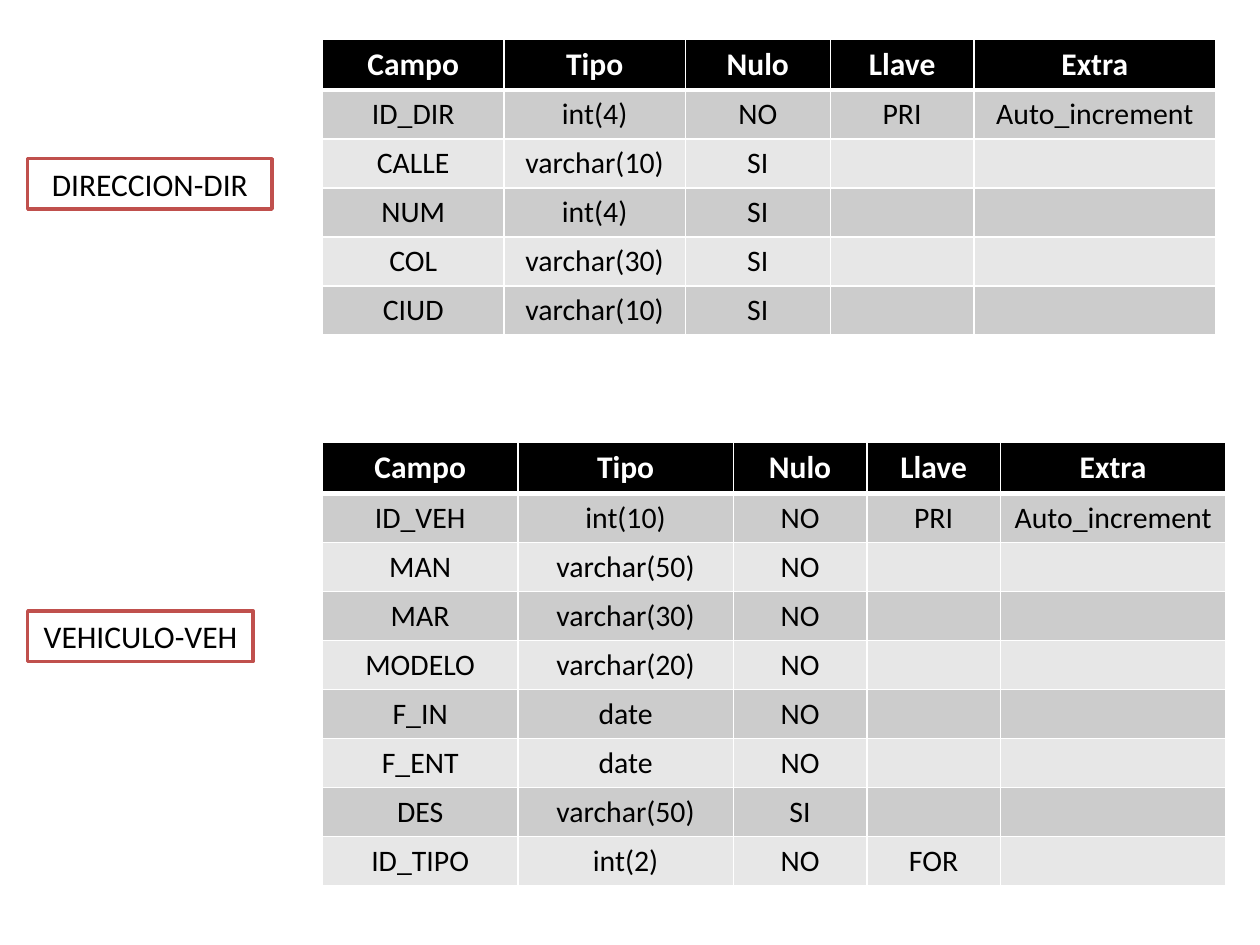
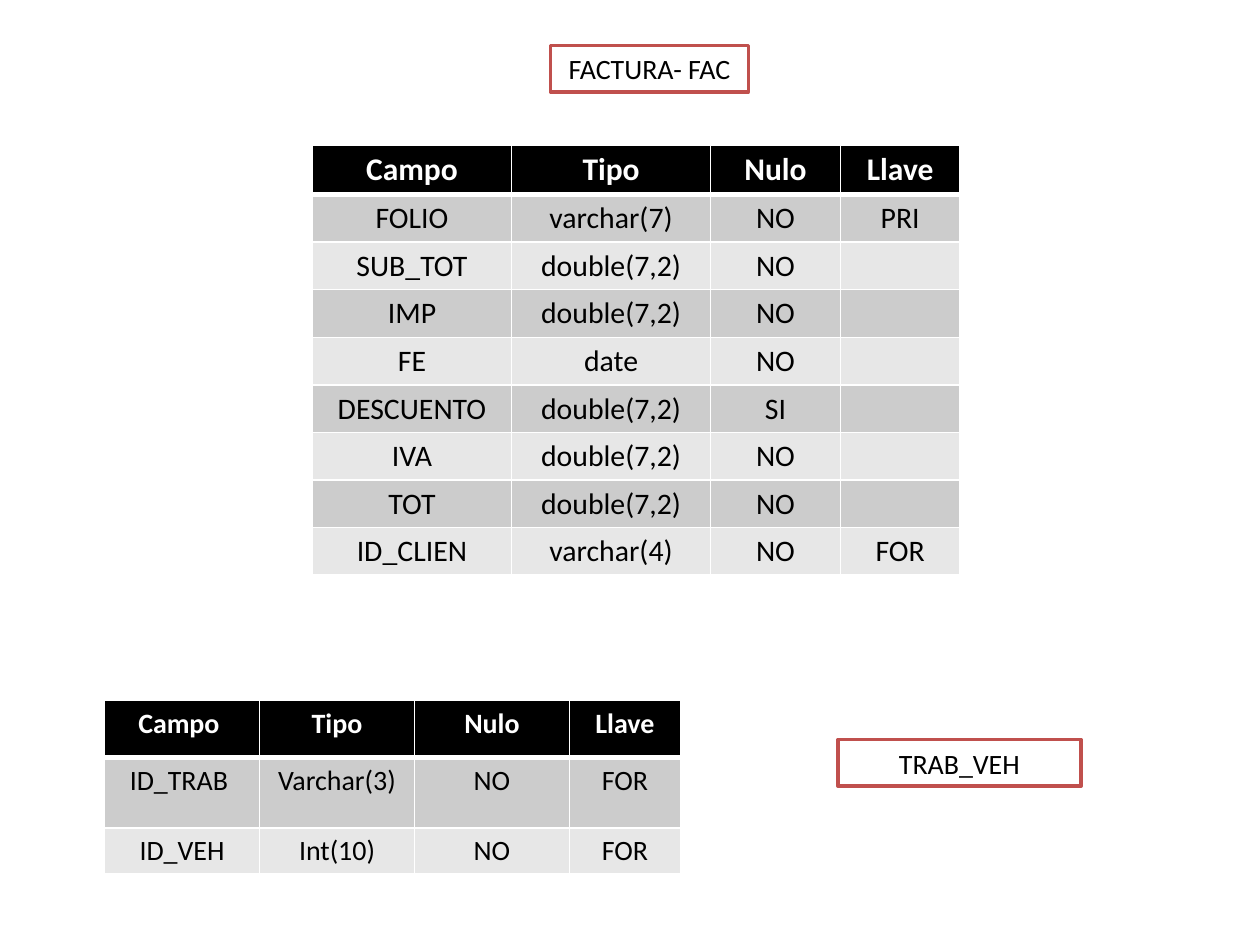
from dataclasses import dataclass

import lxml.etree
import pptx
import pptx.dml.color
import pptx.enum.shapes
import pptx.enum.text
import pptx.oxml.ns
import pptx.util

WIDE, HIGH = pptx.util.Inches(10), pptx.util.Inches(7.5)
COLS, ROWS = 100, 75
FONT = "Calibri"
BLACK, WHITE, RED = "000000", "FFFFFF", "C0504D"
BANDS = ("CCCCCC", "E7E7E7")
HEAD = "Campo|Tipo|Nulo|Llave"


@dataclass
class Label:
    text: str
    left: float
    top: float
    width: float
    height: float
    size: int


@dataclass
class Grid:
    left: float
    top: float
    cols: list[float]
    rows: list[float]
    lines: list[str]
    head: int = 18
    body: int = 17
    pad: float = 3.6


def across(cols: float) -> int:
    return round(WIDE * cols / COLS)


def down(rows: float) -> int:
    return round(HIGH * rows / ROWS)


def color(code: str) -> pptx.dml.color.RGBColor:
    return pptx.dml.color.RGBColor.from_string(code)


def paint(item, code: str) -> None:
    item.fill.solid()
    item.fill.fore_color.rgb = color(code)


def style(para, size: int, code: str, bold: bool = False) -> None:
    para.alignment = pptx.enum.text.PP_ALIGN.CENTER
    para.font.name = FONT
    para.font.size = pptx.util.Pt(size)
    para.font.bold = bold
    para.font.color.rgb = color(code)


def child(node, tag: str, **attrs: str):
    return lxml.etree.SubElement(node, pptx.oxml.ns.qn(tag), attrs)


def border(cell, top: int, base: int) -> None:
    props = cell._tc.get_or_add_tcPr()
    sides = {"a:lnL": 1, "a:lnR": 1, "a:lnT": top, "a:lnB": base}
    for spot, (tag, width) in enumerate(sides.items()):
        line = child(props, tag, w=str(pptx.util.Pt(width)))
        child(child(line, "a:solidFill"), "a:srgbClr", val=WHITE)
        props.insert(spot, line)


def fill_cell(cell, text: str, row: int, grid: Grid) -> None:
    first = row == 0
    size = grid.head if first else grid.body
    paint(cell, BLACK if first else BANDS[(row - 1) % 2])
    border(cell, 3 if row == 1 else 1, 3 if first else 1)
    cell.margin_top = cell.margin_bottom = pptx.util.Pt(grid.pad)
    para = cell.text_frame.paragraphs[0]
    style(para, size, WHITE if first else BLACK, first)
    if text:
        para.add_run().text = text
    else:
        child(para._p, "a:endParaRPr", sz=str(size * 100))


def draw_grid(slide, grid: Grid) -> None:
    frame = slide.shapes.add_table(
        len(grid.rows), len(grid.cols), across(grid.left), down(grid.top),
        across(sum(grid.cols)), down(sum(grid.rows)))
    table = frame.table
    for col, width in zip(table.columns, grid.cols):
        col.width = across(width)
    for row, line in enumerate(grid.lines):
        table.rows[row].height = down(grid.rows[row])
        words = line.split("|")
        words += [""] * (len(grid.cols) - len(words))
        for col, text in enumerate(words):
            fill_cell(table.cell(row, col), text, row, grid)


def draw_label(slide, label: Label) -> None:
    box = slide.shapes.add_shape(
        pptx.enum.shapes.MSO_SHAPE.RECTANGLE, across(label.left),
        down(label.top), across(label.width), down(label.height))
    box.shadow.inherit = False
    paint(box, WHITE)
    box.line.color.rgb = color(RED)
    box.line.width = pptx.util.Pt(2)
    frame = box.text_frame
    frame.word_wrap = True
    frame.auto_size = pptx.enum.text.MSO_AUTO_SIZE.SHAPE_TO_FIT_TEXT
    frame.text = label.text
    style(frame.paragraphs[0], label.size, BLACK)


VEHICLE = Grid(
    25.6, 35.1, [15.5, 17.1, 10.6, 10.6, 17.9], [3.7] + [3.1] * 8,
    [HEAD + "|Extra",
     "ID_VEH|int(10)|NO|PRI|Auto_increment",
     "MAN|varchar(50)|NO",
     "MAR|varchar(30)|NO",
     "MODELO|varchar(20)|NO",
     "F_IN|date|NO",
     "F_ENT|date|NO",
     "DES|varchar(50)|SI",
     "ID_TIPO|int(2)|NO|FOR"])

ADDRESS = Grid(
    25.6, 3.1, [14.4, 14.4, 11.5, 11.4, 19.2], [3.7] + [3.2] * 5,
    [HEAD + "|Extra",
     "ID_DIR|int(4)|NO|PRI|Auto_increment",
     "CALLE|varchar(10)|SI",
     "NUM|int(4)|SI",
     "COL|varchar(30)|SI",
     "CIUD|varchar(10)|SI"])

INVOICE = Grid(
    24.8, 11.5, [15.8, 15.8, 10.3, 9.5], [3] + [2.6] * 8,
    [HEAD,
     "FOLIO|varchar(7)|NO|PRI",
     "SUB_TOT|double(7,2)|NO",
     "IMP|double(7,2)|NO",
     "FE|date|NO",
     "DESCUENTO|double(7,2)|SI",
     "IVA|double(7,2)|NO",
     "TOT|double(7,2)|NO",
     "ID_CLIEN|varchar(4)|NO|FOR"],
    pad=3.4)

WORK = Grid(
    8.3, 55.6, [12.3, 12.3, 12.3, 8.8], [4.5, 5.6, 3.4],
    [HEAD.replace("Campo", "Campo "),
     "ID_TRAB |Varchar(3)|NO|FOR",
     "ID_VEH|Int(10)|NO|FOR"],
    head=16, body=16)

PAGES = [
    ([VEHICLE, ADDRESS],
     [Label("DIRECCION-DIR", 2.2, 12.6, 19.4, 4, 18),
      Label("VEHICULO-VEH", 2.2, 48.5, 17.9, 4, 18)]),
    ([INVOICE, WORK],
     [Label("FACTURA- FAC", 43.7, 3.6, 15.7, 3.7, 16),
      Label("TRAB_VEH", 66.5, 58.7, 19.3, 3.7, 16)]),
]

deck = pptx.Presentation()
deck.slide_width, deck.slide_height = WIDE, HIGH
for grids, labels in PAGES:
    slide = deck.slides.add_slide(deck.slide_layouts[6])
    for grid in grids:
        draw_grid(slide, grid)
    for label in labels:
        draw_label(slide, label)
deck.save("out.pptx")
